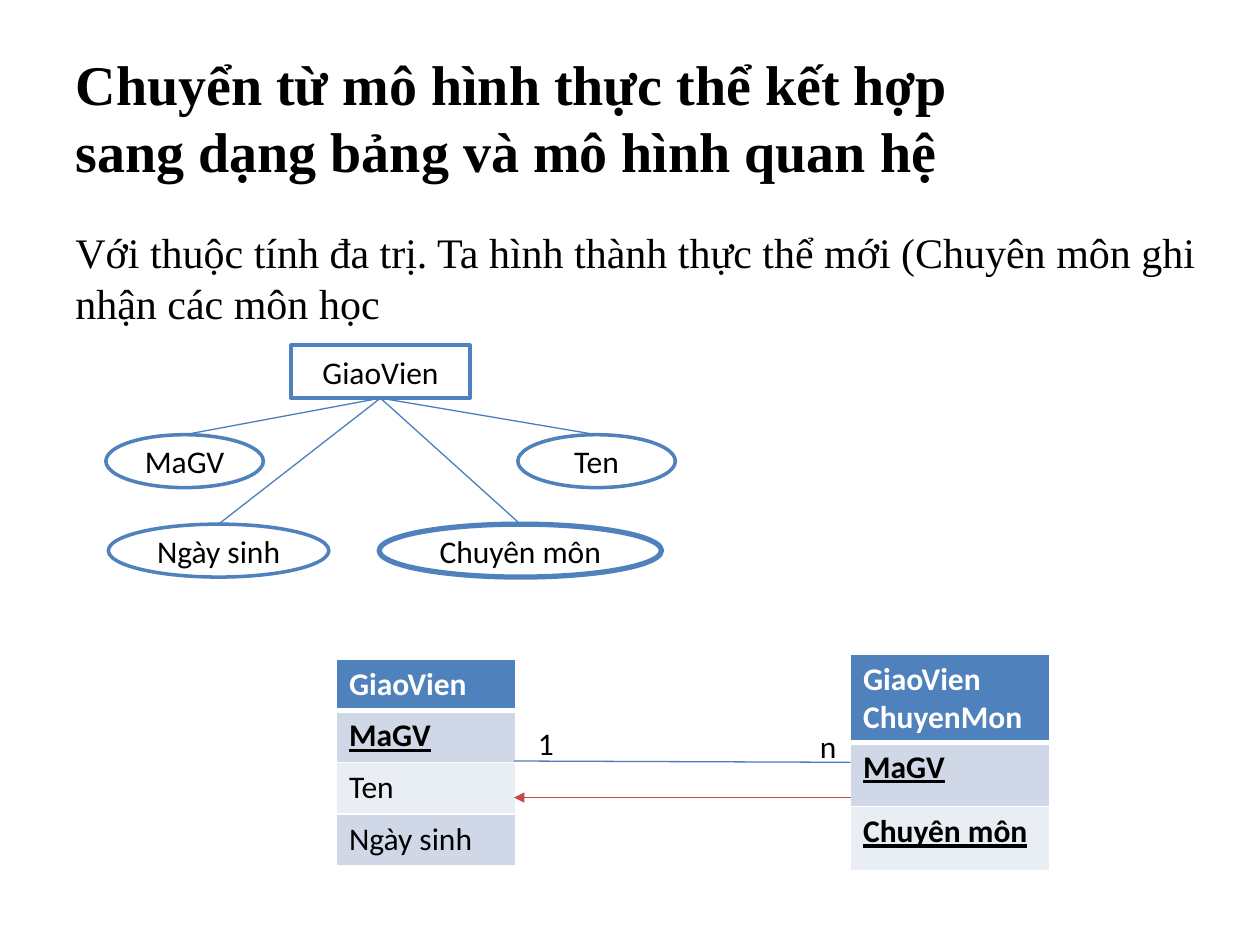
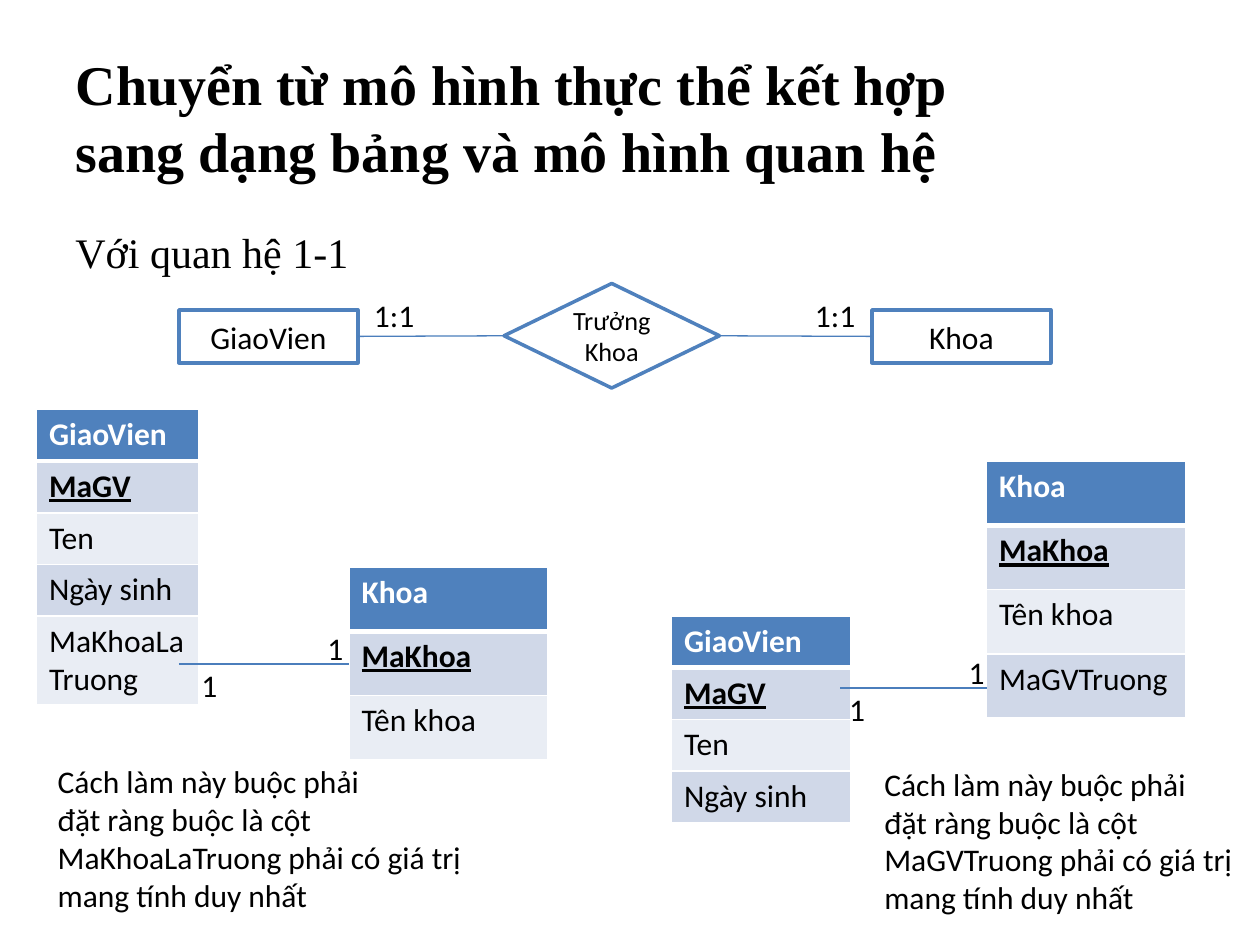
import pptx
import pptx.dml.color
import pptx.enum.shapes
import pptx.enum.text
import pptx.oxml
import pptx.oxml.ns
import pptx.util
from lxml import etree

Inches = pptx.util.Inches
Pt = pptx.util.Pt
Shape = pptx.enum.shapes.MSO_SHAPE
Anchor = pptx.enum.text.MSO_ANCHOR
Align = pptx.enum.text.PP_ALIGN
Fit = pptx.enum.text.MSO_AUTO_SIZE
qn = pptx.oxml.ns.qn

BLACK, WHITE = "000000", "FFFFFF"
BLUE, LINE_BLUE, RED = "4F81BD", "4B7EBC", "BF4C48"
BANDS = ("E9EDF4", "D0D8E8")
TITLE = "Chuyển từ mô hình thực thể kết hợp \vsang dạng bảng và mô hình quan hệ"
TEACHER_FIELDS = ["GiaoVien", "MaGV", "Ten", "Ngày sinh"]
FACULTY_FIELDS = ["Khoa", "MaKhoa", "Tên khoa"]
TOP, LEFT, BOTTOM, RIGHT = range(4)


def colour(value):
    """Return the colour for a hex string."""
    return pptx.dml.color.RGBColor.from_string(value)


class Painter:
    """Holds the style of the deck and draws on the current slide."""

    heading_font, label_font = "Times New Roman", "Calibri"

    def __init__(self, deck):
        """Keep the deck to draw in."""
        self.deck = deck
        self.slide = None

    def new_slide(self, body):
        """Start a slide with the shared title and its introductory text."""
        self.slide = self.deck.slides.add_slide(self.deck.slide_layouts[5])
        title = self.slide.shapes.title
        self.place(title, 0.5, 0.3, 9, 1.25)
        title.text_frame.text = TITLE
        title.text_frame.auto_size = Fit.NONE
        title.text_frame.vertical_anchor = Anchor.MIDDLE
        self.style(title.text_frame, 32, self.heading_font, bold=True, align=Align.LEFT)
        box = self.slide.shapes.add_textbox(*map(Inches, (0.5, 1.75, 9.5, 5.75)))
        box.text_frame.word_wrap = True
        box.text_frame.text = body
        self.style(box.text_frame, 24, self.heading_font)

    def place(self, shape, left, top, width, height):
        """Set the position and size of a shape in inches."""
        shape.left, shape.top = Inches(left), Inches(top)
        shape.width, shape.height = Inches(width), Inches(height)

    def style(self, frame, size=18, font=label_font, shade=BLACK,
              bold=False, underline=False, align=None):
        """Format all text in a frame."""
        for para in frame.paragraphs:
            para.alignment = align
            for span in para.runs:
                span.font.size = Pt(size)
                span.font.name = font
                span.font.bold = bold
                span.font.underline = underline
                span.font.color.rgb = colour(shade)

    def node(self, kind, text, left, top, width=1.42, height=0.42, weight=2, size=18):
        """Draw an outlined diagram node with centred text."""
        node = self.slide.shapes.add_shape(kind, *map(Inches, (left, top, width, height)))
        node.shadow.inherit = False
        node.fill.solid()
        node.fill.fore_color.rgb = colour(WHITE)
        node.line.color.rgb = colour(BLUE)
        node.line.width = Pt(weight)
        node.text_frame.word_wrap = True
        node.text_frame.vertical_anchor = Anchor.MIDDLE
        node.text_frame.text = text
        self.style(node.text_frame, size, align=Align.CENTER)
        return node

    def line(self, start=(0, 0), end=(0, 0), shade=LINE_BLUE, arrow=False):
        """Draw a thin straight line, with an optional arrowhead at its end."""
        line = self.slide.shapes.add_connector(
            pptx.enum.shapes.MSO_CONNECTOR.STRAIGHT, *map(Inches, (*start, *end)))
        line.line.color.rgb = colour(shade)
        line.line.width = Pt(0.75)
        if arrow:
            etree.SubElement(line.line._get_or_add_ln(), qn("a:tailEnd"), type="triangle")
        etree.SubElement(line._element.spPr, qn("a:effectLst"))
        return line

    def join(self, first, first_side, second, second_side):
        """Join the sides of two nodes."""
        line = self.line()
        line.begin_connect(first, first_side)
        line.end_connect(second, second_side)

    def label(self, text, left, top, width=0.33, height=0.4):
        """Write text that does not wrap."""
        box = self.slide.shapes.add_textbox(*map(Inches, (left, top, width, height)))
        box.text_frame.word_wrap = False
        box.text_frame.auto_size = Fit.SHAPE_TO_FIT_TEXT
        box.text_frame.text = text
        self.style(box.text_frame)

    def borders(self, cell, top, bottom):
        """Give a cell white borders of the given top and bottom weights."""
        properties = cell._tc.get_or_add_tcPr()
        for side, weight in (("L", 1), ("R", 1), ("T", top), ("B", bottom)):
            edge = etree.SubElement(properties, qn(f"a:ln{side}"), w=str(Pt(weight)))
            fill = etree.SubElement(edge, qn("a:solidFill"))
            etree.SubElement(fill, qn("a:srgbClr"), val=WHITE)

    def entity(self, fields, left, top, width, row_height, keys=1):
        """Draw a one-column table: a header, then key fields, then the rest."""
        table = self.slide.shapes.add_table(
            len(fields), 1, Inches(left), Inches(top), Inches(width),
            Inches(row_height * len(fields))).table
        for index, field in enumerate(fields):
            table.rows[index].height = Inches(row_height)
            cell = table.cell(index, 0)
            self.borders(cell, 3 if index == 1 else 1, 3 if index == 0 else 1)
            cell.fill.solid()
            cell.fill.fore_color.rgb = colour(BANDS[index % 2] if index else BLUE)
            cell.text = field
            self.style(cell.text_frame, shade=BLACK if index else WHITE,
                       bold=index <= keys, underline=0 < index <= keys)


def draw_multivalued(painter):
    """Draw the slide on multivalued attributes."""
    painter.new_slide("Với thuộc tính đa trị. Ta hình thành thực thể mới "
                      "(Chuyên môn ghi nhận các môn học")
    teacher = painter.node(Shape.RECTANGLE, "GiaoVien", 2.31, 2.74)
    for text, left, top, width, weight in (
            ("MaGV", 0.84, 3.45, 1.25, 2),
            ("Ten", 4.11, 3.45, 1.25, 2),
            ("Ngày sinh", 0.86, 4.16, 1.75, 2),
            ("Chuyên môn", 3.01, 4.16, 2.24, 3)):
        attribute = painter.node(Shape.OVAL, text, left, top, width, weight=weight)
        painter.join(teacher, BOTTOM, attribute, TOP)
    painter.entity(TEACHER_FIELDS, 2.67, 5.23, 1.42, 0.41)
    painter.entity(["GiaoVien\nChuyenMon", "MaGV", "Chuyên môn"],
                   6.75, 5.19, 1.58, 0.51, keys=2)
    painter.line((4.08, 6.04), (6.75, 6.05))
    painter.label("1", 4.17, 5.7)
    painter.label("n", 6.41, 5.72)
    painter.line((6.75, 6.33), (4.08, 6.33), RED, arrow=True)


def draw_one_to_one(painter):
    """Draw the slide on one-to-one relationships."""
    painter.new_slide("Với quan hệ 1-1")
    teacher = painter.node(Shape.RECTANGLE, "GiaoVien", 1.42, 2.46)
    faculty = painter.node(Shape.RECTANGLE, "Khoa", 6.92, 2.46)
    head = painter.node(Shape.DIAMOND, "Trưởng Khoa", 4, 2.25, 1.71, 0.83, size=15)
    painter.join(teacher, RIGHT, head, LEFT)
    painter.join(head, RIGHT, faculty, LEFT)
    for left in (2.87, 6.37):
        painter.label("1:1", left, 2.3, 0.53)

    painter.entity(TEACHER_FIELDS + ["MaKhoaLaTruong"], 0.29, 3.25, 1.29, 0.41)
    painter.entity(FACULTY_FIELDS, 2.77, 4.5, 1.58, 0.51)
    painter.entity(TEACHER_FIELDS, 5.33, 4.89, 1.42, 0.41)
    painter.entity(FACULTY_FIELDS + ["MaGVTruong"], 7.83, 3.66, 1.58, 0.51)

    for start, end, level, near, far in ((1.42, 2.77, 5.27, 1.5, 2.5),
                                         (6.67, 7.83, 5.46, 6.64, 7.59)):
        painter.line((start, level), (end, level))
        painter.label("1", near, level - 0.03)
        painter.label("1", far, level - 0.33)
    for column, left, top, width in (("MaKhoaLaTruong", 0.36, 6, 3.5),
                                     ("MaGVTruong", 6.92, 6.02, 3.05)):
        painter.label("Cách làm này buộc phải\nđặt ràng buộc là cột\n"
                      f"{column} phải có giá trị\nmang tính duy nhất",
                      left, top, width, 1.31)


def main():
    """Build and save the deck."""
    deck = pptx.Presentation()
    deck.slide_width, deck.slide_height = Inches(10), Inches(7.5)
    painter = Painter(deck)
    draw_multivalued(painter)
    draw_one_to_one(painter)
    deck.save("out.pptx")


if __name__ == "__main__":
    main()
